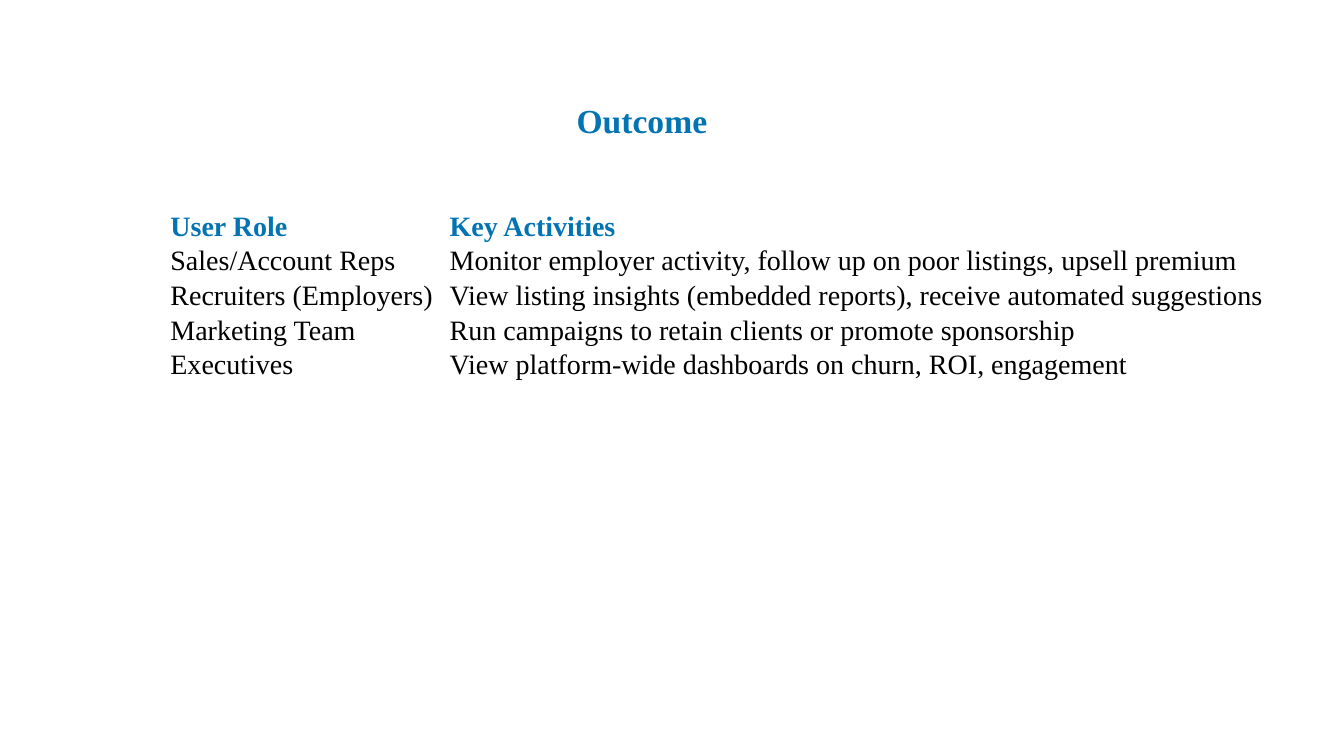
"""Build the Outcome slide: a heading above a table of user roles and activities."""
from dataclasses import dataclass

from pptx import Presentation
from pptx.dml.color import RGBColor
from pptx.enum.text import MSO_ANCHOR, MSO_AUTO_SIZE
from pptx.util import Inches, Pt

BOTTOM = MSO_ANCHOR.BOTTOM
GROW = MSO_AUTO_SIZE.SHAPE_TO_FIT_TEXT


@dataclass(frozen=True)
class Theme:
    font: str = "Times New Roman"
    accent: RGBColor = RGBColor(0x03, 0x74, 0xB3)
    ink: RGBColor = RGBColor(0, 0, 0)
    paper: RGBColor = RGBColor(0xFF, 0xFF, 0xFF)
    title_size: int = 24
    table_size: int = 20


THEME = Theme()
ROLES = [
    ("User Role", "Key Activities"),
    ("Sales/Account Reps", "Monitor employer activity, follow up on poor listings, upsell premium"),
    ("Recruiters (Employers)", "View listing insights (embedded reports), receive automated suggestions"),
    ("Marketing Team", "Run campaigns to retain clients or promote sponsorship"),
    ("Executives", "View platform-wide dashboards on churn, ROI, engagement"),
]
COLUMN_WIDTHS = (2.77, 8.38)
ROW_HEIGHT = 0.34
CELL_INSET = Inches(0.01)


def add_text(text_frame, text, size, color, bold):
    run = text_frame.paragraphs[0].add_run()
    run.text = text
    run.font.name = THEME.font
    run.font.size = Pt(size)
    run.font.color.rgb = color
    run.font.bold = bold


presentation = Presentation()
presentation.slide_width = Inches(13.33)
presentation.slide_height = Inches(7.5)
slide = presentation.slides.add_slide(presentation.slide_layouts[6])
slide.background.fill.solid()
slide.background.fill.fore_color.rgb = THEME.paper

title = slide.shapes.add_textbox(Inches(5.62), Inches(0.94), Inches(1.51), Inches(0.5))
title.text_frame.word_wrap = False
title.text_frame.auto_size = GROW
add_text(title.text_frame, "Outcome", THEME.title_size, THEME.accent, True)

table = slide.shapes.add_table(
    len(ROLES), len(COLUMN_WIDTHS), Inches(1.68), Inches(2.06),
    Inches(sum(COLUMN_WIDTHS)), Inches(ROW_HEIGHT * len(ROLES)),
).table
table.first_row = False
table.horz_banding = False
for column, width in zip(table.columns, COLUMN_WIDTHS):
    column.width = Inches(width)

for row_index, texts in enumerate(ROLES):
    is_header = row_index == 0
    color = THEME.accent if is_header else THEME.ink
    for cell, text in zip(table.rows[row_index].cells, texts):
        cell.fill.solid()
        cell.fill.fore_color.rgb = THEME.paper
        cell.vertical_anchor = BOTTOM
        cell.margin_left = cell.margin_right = cell.margin_top = CELL_INSET
        cell.margin_bottom = 0
        add_text(cell.text_frame, text, THEME.table_size, color, is_header)

presentation.save("out.pptx")
